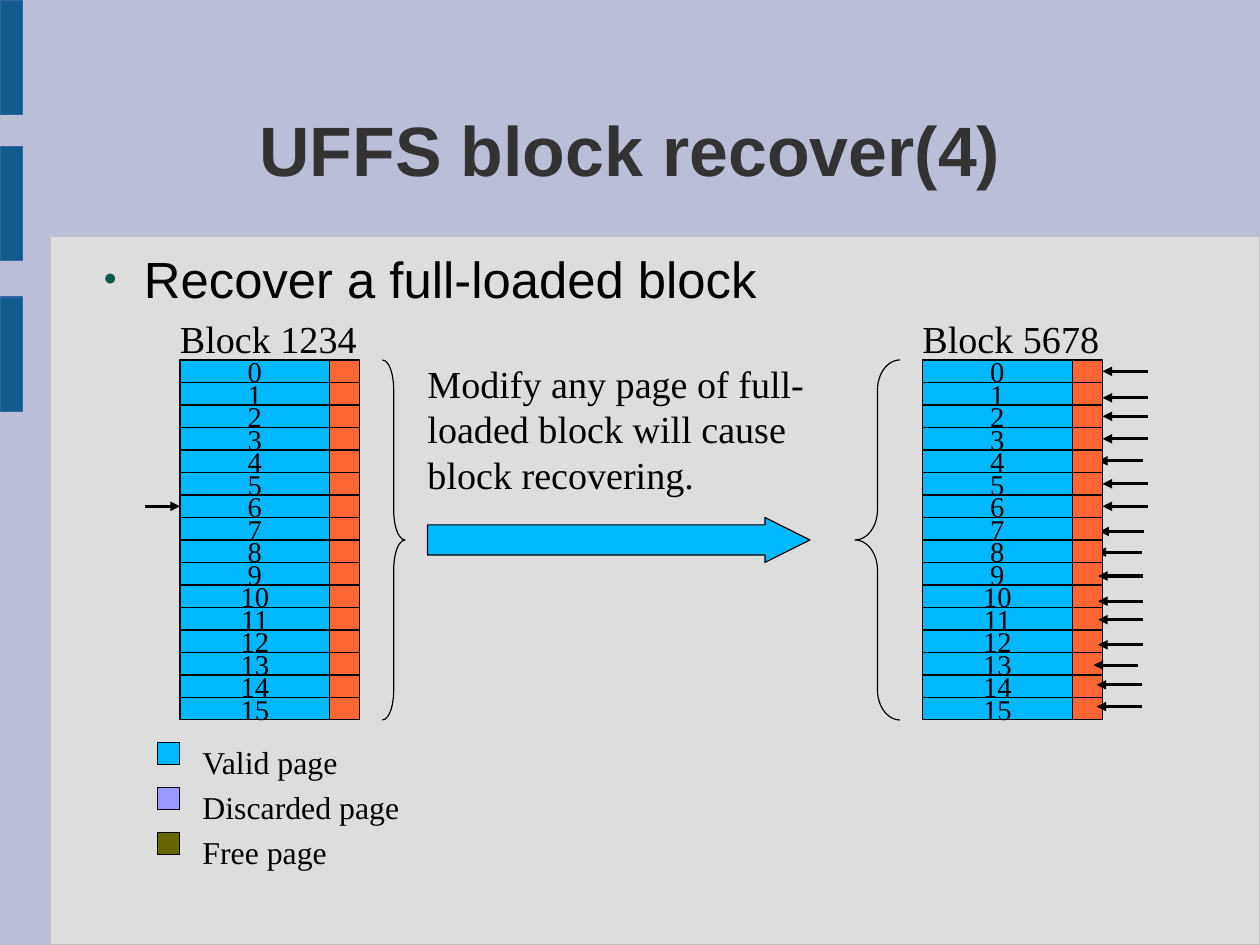
from lxml.etree import SubElement
from pptx import Presentation
from pptx.dml.color import RGBColor
from pptx.enum.shapes import MSO_CONNECTOR, MSO_SHAPE
from pptx.enum.text import MSO_ANCHOR, PP_ALIGN
from pptx.oxml.ns import qn
from pptx.util import Cm, Pt

COLORS = {
    "background": "BABED6", "panel": "DDDDDD", "panel_line": "C0C0C0",
    "bar": "125C8D", "bar_line": "3465A4", "title": "333333",
    "bullet": "0E594D", "black": "000000", "valid": "00B8FF",
    "spare": "FF6633", "discarded": "9999FF", "free": "666600",
}
SANS, SERIF = "Arial", "Times New Roman"
PAGES = 16
PAGE_H, PAGE_W, SPARE_W = 0.5, 3.33, 0.67
BLOCK_TOP, BLOCK_H = 8, PAGES * PAGE_H
LEFT_BLOCK, RIGHT_BLOCK = 4, 20.5

# Arrow tips (x, y) beside the right block, by page
ARROWS_BEHIND = [(24.4, 10.24), (24.43, 11.81), (24.37, 12.27)]
ARROWS_FRONT = [(24.5, 8.84), (24.4, 12.8), (24.4, 13.36), (24.4, 13.77),
                (24.4, 14.33), (24.3, 14.78), (24.37, 15.22), (24.37, 15.7)]
JOINED_PAGES = [0, 2, 3, 5, 6]


def rgb(name):
    return RGBColor.from_string(COLORS[name])


class Deck:
    """Holds the presentation, its current slide and the drawing style."""

    def __init__(self, width, height):
        self.prs = Presentation()
        self.prs.slide_width, self.prs.slide_height = Cm(width), Cm(height)
        self.s = self.prs.slides.add_slide(self.prs.slide_layouts[6])
        fill = self.s.background.fill
        fill.solid()
        fill.fore_color.rgb = rgb("background")

    def set_text(self, sp, text, size, font=SERIF, color="black", bold=False,
                 align=PP_ALIGN.LEFT, anchor=MSO_ANCHOR.TOP, wrap=True):
        tf = sp.text_frame
        tf.text = text
        tf.word_wrap = wrap
        tf.vertical_anchor = anchor
        tf.margin_left = tf.margin_right = tf.margin_top = tf.margin_bottom = 0
        p = tf.paragraphs[0]
        p.alignment = align
        r = p.runs[0]
        r.font.size, r.font.name, r.font.bold = Pt(size), font, bold
        r.font.color.rgb = rgb(color)
        return p

    def text(self, x, y, w, h, text, size, **style):
        sp = self.s.shapes.add_textbox(Cm(x), Cm(y), Cm(w), Cm(h))
        return self.set_text(sp, text, size, **style)

    def bullet(self, x, y, w, h, text, size, **style):
        pPr = self.text(x, y, w, h, text, size, **style)._p.get_or_add_pPr()
        pPr.set("marL", str(Cm(1.2)))
        pPr.set("indent", str(Cm(-0.9)))
        clr = SubElement(pPr, qn("a:buClr"))
        SubElement(clr, qn("a:srgbClr"), val=COLORS["bullet"])
        SubElement(pPr, qn("a:buSzPct"), val="45000")
        SubElement(pPr, qn("a:buFont"), typeface=SANS)
        SubElement(pPr, qn("a:buChar"), char="●")

    def shape(self, x, y, w, h, fill=None, line="black",
              kind=MSO_SHAPE.RECTANGLE, adjust=()):
        sp = self.s.shapes.add_shape(kind, Cm(x), Cm(y), Cm(w), Cm(h))
        sp.shadow.inherit = False
        if fill:
            sp.fill.solid()
            sp.fill.fore_color.rgb = rgb(fill)
        else:
            sp.fill.background()
        sp.line.color.rgb = rgb(line)
        sp.line.width = Pt(0)
        for i, value in enumerate(adjust):
            sp.adjustments[i] = value
        return sp

    def arrow(self, x1, x2, y, target=None, site=None):
        """Horizontal arrow to x2, joined to a side of target if given."""
        cxn = self.s.shapes.add_connector(
            MSO_CONNECTOR.STRAIGHT, Cm(x1), Cm(y), Cm(x2), Cm(y))
        if target is not None:
            cxn.end_connect(target, site)
        cxn.line.color.rgb = rgb("black")
        cxn.line.width = Pt(0)
        spPr = cxn.element.spPr
        SubElement(spPr.find(qn("a:ln")), qn("a:tailEnd"), type="triangle")
        SubElement(spPr, qn("a:effectLst"))

    def block(self, x, label):
        """Stack of numbered pages; returns (page, spare) shape pairs."""
        rows = []
        for i in range(PAGES):
            y = BLOCK_TOP + i * PAGE_H
            page = self.shape(x, y, PAGE_W, PAGE_H, "valid")
            self.set_text(page, str(i), 18, align=PP_ALIGN.CENTER,
                          anchor=MSO_ANCHOR.MIDDLE)
            rows.append((page, self.shape(x + PAGE_W, y, SPARE_W, PAGE_H, "spare")))
        self.text(x, 7, PAGE_W + SPARE_W, 1.1, label, 24, wrap=False)
        return rows


def page_middle(i):
    return BLOCK_TOP + (i + 0.5) * PAGE_H


def main():
    d = Deck(28, 21)
    d.shape(1.12, 5.26, 26.88, 15.74, "panel", "panel_line")
    for y in (0, 3.25, 6.6):
        d.shape(0, y, 0.5, 2.54, "bar", "bar_line")
    d.text(2.06, 1.55, 23.9, 3.5, "UFFS block recover(4)", 44, font=SANS,
           color="title", bold=True, align=PP_ALIGN.CENTER,
           anchor=MSO_ANCHOR.MIDDLE)
    d.bullet(2, 5.5, 23.9, 1.65, "Recover a full-loaded block", 32, font=SANS)

    left = d.block(LEFT_BLOCK, "Block 1234")
    d.arrow(LEFT_BLOCK - 0.77, LEFT_BLOCK, page_middle(6), left[6][0], 1)

    legend = [("valid", "Valid page"), ("discarded", "Discarded page"),
              ("free", "Free page")]
    for i, (color, label) in enumerate(legend):
        d.shape(3.5, 16.5 + i, 0.5, 0.5, color)
        d.text(4.5, 16.5 + i, 6.5, 0.97, label, 20)

    d.shape(9.5, 11.5, 8.5, 1, "valid", kind=MSO_SHAPE.RIGHT_ARROW,
            adjust=(0.67, 1))
    d.shape(8.5, BLOCK_TOP, 0.5, BLOCK_H, kind=MSO_SHAPE.RIGHT_BRACE,
            adjust=(1.33, 0.5))
    d.shape(19, BLOCK_TOP, 1, BLOCK_H, kind=MSO_SHAPE.LEFT_BRACE,
            adjust=(0.67, 0.5))
    d.text(9.5, 8, 9, 3.2, "Modify any page of full-loaded block will cause "
           "block recovering.", 24)

    for x, y in ARROWS_BEHIND:
        d.arrow(x + 1, x, y)
    right = d.block(RIGHT_BLOCK, "Block 5678")
    edge = RIGHT_BLOCK + PAGE_W + SPARE_W
    for i in JOINED_PAGES:
        d.arrow(edge + 1, edge, page_middle(i), right[i][1], 3)
    for x, y in ARROWS_FRONT:
        d.arrow(x + 1, x, y)

    d.prs.save("out.pptx")


if __name__ == "__main__":
    main()
